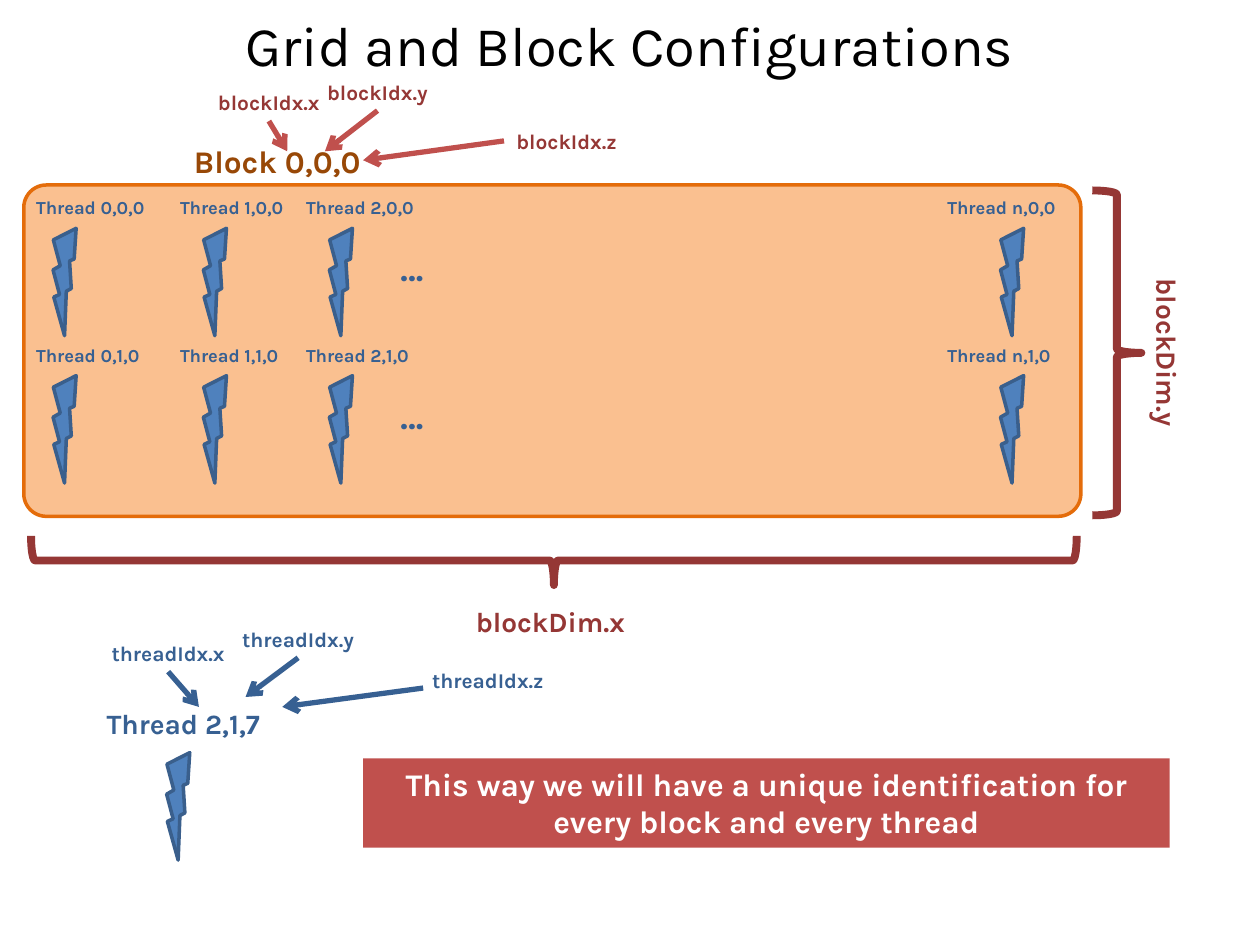
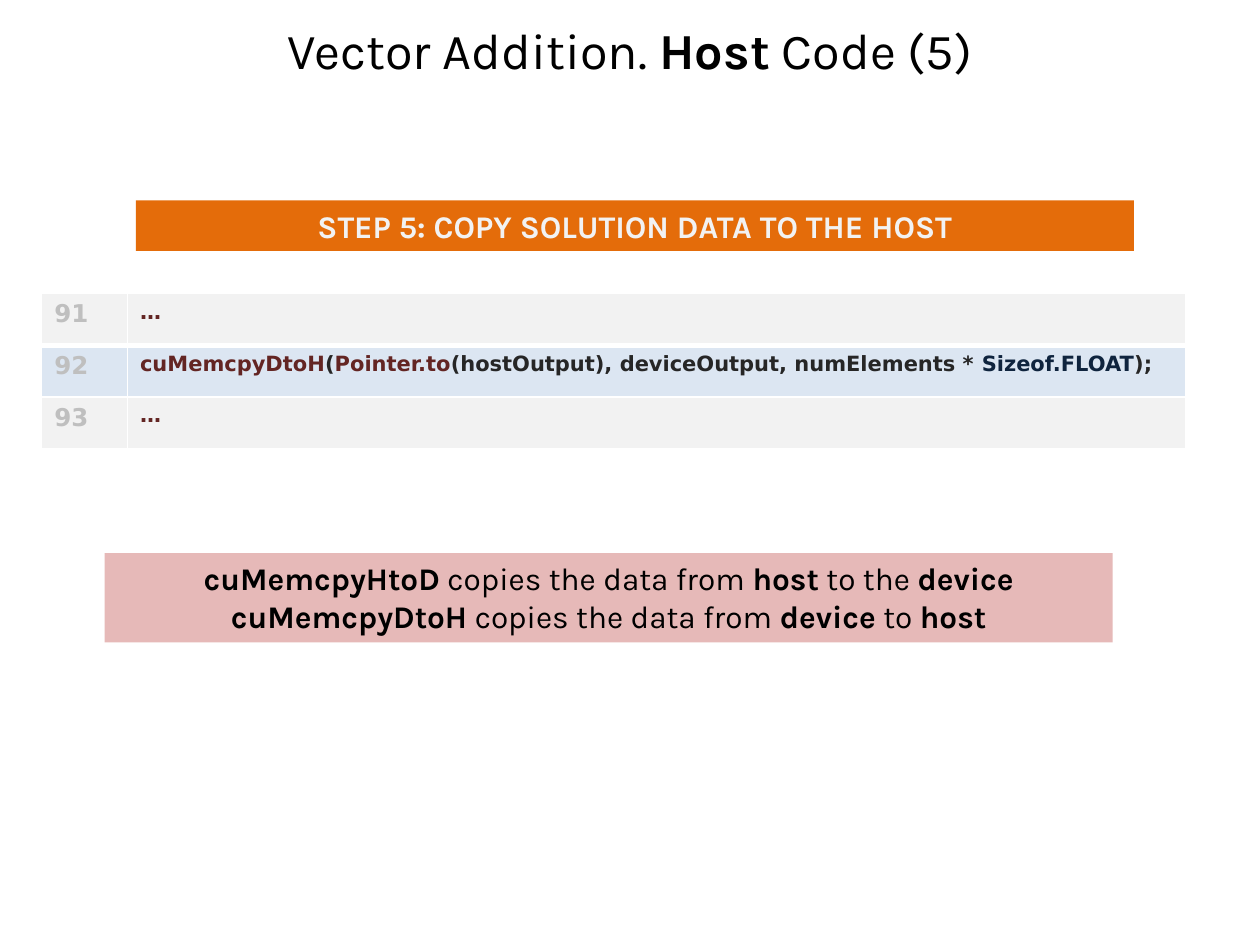
from lxml import etree
from pptx import Presentation
from pptx.dml.color import RGBColor
from pptx.enum.shapes import MSO_CONNECTOR, MSO_SHAPE
from pptx.enum.text import MSO_ANCHOR, PP_ALIGN
from pptx.oxml.ns import qn
from pptx.util import Cm, Pt

STRAIGHT = MSO_CONNECTOR.STRAIGHT
RECTANGLE = MSO_SHAPE.RECTANGLE
ROUNDED = MSO_SHAPE.ROUNDED_RECTANGLE
BOLT = MSO_SHAPE.LIGHTNING_BOLT
BRACE = MSO_SHAPE.RIGHT_BRACE
TOP, MIDDLE = MSO_ANCHOR.TOP, MSO_ANCHOR.MIDDLE
LEFT, CENTER = PP_ALIGN.LEFT, PP_ALIGN.CENTER

TEXT_FONT = "Karla"
CODE_FONT = "DejaVu Sans"
COLORS = {
    "black": "000000", "white": "FFFFFF", "grey": "F2F2F2",
    "line number": "BFBFBF", "code": "262626", "call": "632523", "constant": "0F243E",
    "orange": "E46C0A", "light orange": "FAC090", "brown": "984807",
    "red": "C0504D", "dark red": "953735", "pink": "E6B9B8",
    "blue": "4F81BD", "dark blue": "376092", "bolt edge": "3A5F8C", "light blue": "DCE6F2",
}
COLORS = {name: RGBColor.from_string(value) for name, value in COLORS.items()}

BOLT_SIZE = (0.89, 2.11)
INDEX_SIZE = (3.38, 0.76)


def write_text(text_frame, *paragraphs, size=18, color="black", bold=True,
               align=LEFT, anchor=TOP, font=TEXT_FONT):
    """Each paragraph is a string or a list of (text, color, bold) runs."""
    text_frame.word_wrap = True
    text_frame.vertical_anchor = anchor
    for number, runs in enumerate(paragraphs):
        paragraph = text_frame.add_paragraph() if number else text_frame.paragraphs[0]
        paragraph.alignment = align
        if isinstance(runs, str):
            runs = [(runs, color, bold)]
        for text, run_color, run_bold in runs:
            run = paragraph.add_run()
            run.text = text
            run.font.name = font
            run.font.size = Pt(size)
            run.font.bold = run_bold
            run.font.color.rgb = COLORS[run_color]


def add_shape(slide, preset, left, top, width, height, fill=None, line=None,
              line_width=2, rotation=0):
    shape = slide.shapes.add_shape(preset, Cm(left), Cm(top), Cm(width), Cm(height))
    shape.shadow.inherit = False
    shape.rotation = rotation
    if fill:
        shape.fill.solid()
        shape.fill.fore_color.rgb = COLORS[fill]
    else:
        shape.fill.background()
    if line:
        shape.line.color.rgb = COLORS[line]
        shape.line.width = Pt(line_width)
    else:
        shape.line.fill.background()
    return shape


presentation = Presentation()
presentation.slide_width = Cm(25.4)
presentation.slide_height = Cm(19.05)

# Both slides and their titles
titles = [
    ("Grid and Block Configurations", 32, 0, 1.78),
    ([("Vector Addition. ", "black", False), ("Host", "black", True),
      (" Code (5)", "black", False)], 28.8, 0.43, 1.14),
]
slides = []
for title, size, top, height in titles:
    slide = presentation.slides.add_slide(presentation.slide_layouts[6])
    title_box = slide.shapes.add_textbox(Cm(1.27), Cm(top), Cm(22.86), Cm(height))
    write_text(title_box.text_frame, title, size=size, bold=False, align=CENTER, anchor=MIDDLE)
    slides.append(slide)
grid_slide, code_slide = slides

# Block with two rows of threads
block = add_shape(grid_slide, ROUNDED, 0.48, 3.73, 21.31, 6.68, "light orange", "orange")
block.adjustments[0] = 0.068

thread_columns = [("0", 0.48, 0.81), ("1", 3.38, 3.84), ("2", 5.92, 6.38), ("n", 18.85, 19.91)]
labels = []
bolts = [(3.1, 15.14)]
for row in range(2):
    row_top = 3.84 + row * 2.97
    for column, label_left, bolt_left in thread_columns:
        labels.append((f"Thread {column},{row},0", label_left, row_top, 2.97, 0.71,
                       10.5, "dark blue", LEFT))
        bolts.append((bolt_left, row_top + 0.73))
    labels.append(("…", 7.82, row_top + 1.01, 1.27, 1.12, 20, "dark blue", LEFT))
for left, top in bolts:
    add_shape(grid_slide, BOLT, left, top, *BOLT_SIZE, "blue", "bolt edge", rotation=20.5)

# Braces for the block dimensions
add_shape(grid_slide, BRACE, 10.67, 0.76, 0.99, 21.08,
          line="dark red", line_width=4.5, rotation=90)
add_shape(grid_slide, BRACE, 22.02, 3.84, 0.99, 6.55, line="dark red", line_width=4.5)

labels += [
    ("Block 0,0,0", 3.66, 2.74, 4.39, 1.02, 18, "brown", LEFT),
    ("blockDim.x", 9.09, 12.07, 4.01, 0.94, 16, "dark red", CENTER),
    ("blockDim.y", 22.94, 5.28, 1.19, 3.66, 16, "dark red", CENTER),
    ("Thread 2,1,7", 1.47, 14.12, 4.45, 0.94, 16, "dark blue", CENTER),
]
for text, left, top, width, height, size, color, align in labels:
    label = grid_slide.shapes.add_textbox(Cm(left), Cm(top), Cm(width), Cm(height))
    write_text(label.text_frame, text, size=size, color=color, align=align)
    if text == "blockDim.y":
        label.text_frame.vertical_anchor = MIDDLE
        label.text_frame._txBody.bodyPr.set("vert", "vert")

# Index names: position, alignment, joined side, arrow start, arrow end
BOTTOM_SIDE, LEFT_SIDE = 2, 1
indexes = [
    ("blockIdx.x", 3.73, 1.68, CENTER, BOTTOM_SIDE, (5.42, 2.44), (5.79, 3.05)),
    ("blockIdx.y", 5.92, 1.47, CENTER, BOTTOM_SIDE, (7.61, 2.23), (6.55, 3.05)),
    ("blockIdx.z", 10.16, 2.46, LEFT, LEFT_SIDE, (10.16, 2.84), (7.32, 3.23)),
    ("threadIdx.x", 1.7, 12.78, CENTER, BOTTOM_SIDE, (3.39, 13.54), (4.01, 14.25)),
    ("threadIdx.y", 4.32, 12.5, CENTER, BOTTOM_SIDE, (6.01, 13.26), (4.95, 14.05)),
    ("threadIdx.z", 8.46, 13.34, LEFT, None, (8.53, 13.87), (5.69, 14.25)),
]
for name, left, top, align, side, start, end in indexes:
    is_block = name.startswith("block")
    index_box = grid_slide.shapes.add_textbox(Cm(left), Cm(top), *map(Cm, INDEX_SIZE))
    write_text(index_box.text_frame, name, size=12, align=align,
               color="dark red" if is_block else "dark blue")
    arrow = grid_slide.shapes.add_connector(STRAIGHT, *map(Cm, start + end))
    if side is not None:
        arrow.begin_connect(index_box, side)
    arrow.line.color.rgb = COLORS["red" if is_block else "dark blue"]
    arrow.line.width = Pt(3)
    etree.SubElement(arrow.line._get_or_add_ln(), qn("a:tailEnd"), type="arrow")
    etree.SubElement(arrow._element.spPr, qn("a:effectLst"))

conclusion = add_shape(grid_slide, RECTANGLE, 7.32, 15.29, 16.26, 1.8, "red")
write_text(conclusion.text_frame,
           "This way we will have a unique identification for every block and every thread",
           color="white", align=CENTER)

# Code listing
code_lines = [
    ("91", "grey", [("…", "call", True)]),
    ("92", "light blue", [
        ("cuMemcpyDtoH", "call", True), ("(", "code", True), ("Pointer.to", "call", True),
        ("(hostOutput), deviceOutput, numElements * ", "code", True),
        ("Sizeof.FLOAT", "constant", True), (");", "code", True)]),
    ("93", "grey", [("…", "call", True)]),
]
table = code_slide.shapes.add_table(3, 2, Cm(0.84), Cm(5.92), Cm(23.07), Cm(3.12)).table
table.first_row = table.horz_banding = False
table.columns[0].width, table.columns[1].width = Cm(1.73), Cm(21.34)
for row, (line_number, fill, code) in enumerate(code_lines):
    table.rows[row].height = Cm(1.04)
    number_cell, code_cell = table.cell(row, 0), table.cell(row, 1)
    write_text(number_cell.text_frame, line_number, size=14, color="line number", font=CODE_FONT)
    write_text(code_cell.text_frame, code, size=12, font=CODE_FONT)
    for cell in (number_cell, code_cell):
        properties = cell._tc.get_or_add_tcPr()
        for edge in ("lnL", "lnR", "lnT", "lnB"):
            is_thick = (row, edge) in ((0, "lnB"), (1, "lnT"))
            border = etree.SubElement(properties, qn(f"a:{edge}"), w=str(Pt(3 if is_thick else 1)))
            border_fill = etree.SubElement(border, qn("a:solidFill"))
            etree.SubElement(border_fill, qn("a:srgbClr"), val=str(COLORS["white"]))
        cell.fill.solid()
        cell.fill.fore_color.rgb = COLORS[fill]

step_banner = add_shape(code_slide, RECTANGLE, 2.74, 4.04, 20.12, 1.02, "orange")
write_text(step_banner.text_frame, "STEP 5: COPY SOLUTION DATA TO THE HOST",
           color="grey", align=CENTER)

copy_directions = [("cuMemcpyHtoD", "host", " to the ", "device"),
                   ("cuMemcpyDtoH", "device", " to ", "host")]
explanations = [
    [(function, "black", True), (" copies the data from ", "black", False),
     (source, "black", True), (link, "black", False), (target, "black", True)]
    for function, source, link, target in copy_directions
]
copy_note = add_shape(code_slide, RECTANGLE, 2.11, 11.15, 20.32, 1.8, "pink")
write_text(copy_note.text_frame, *explanations, align=CENTER)

presentation.save("out.pptx")
